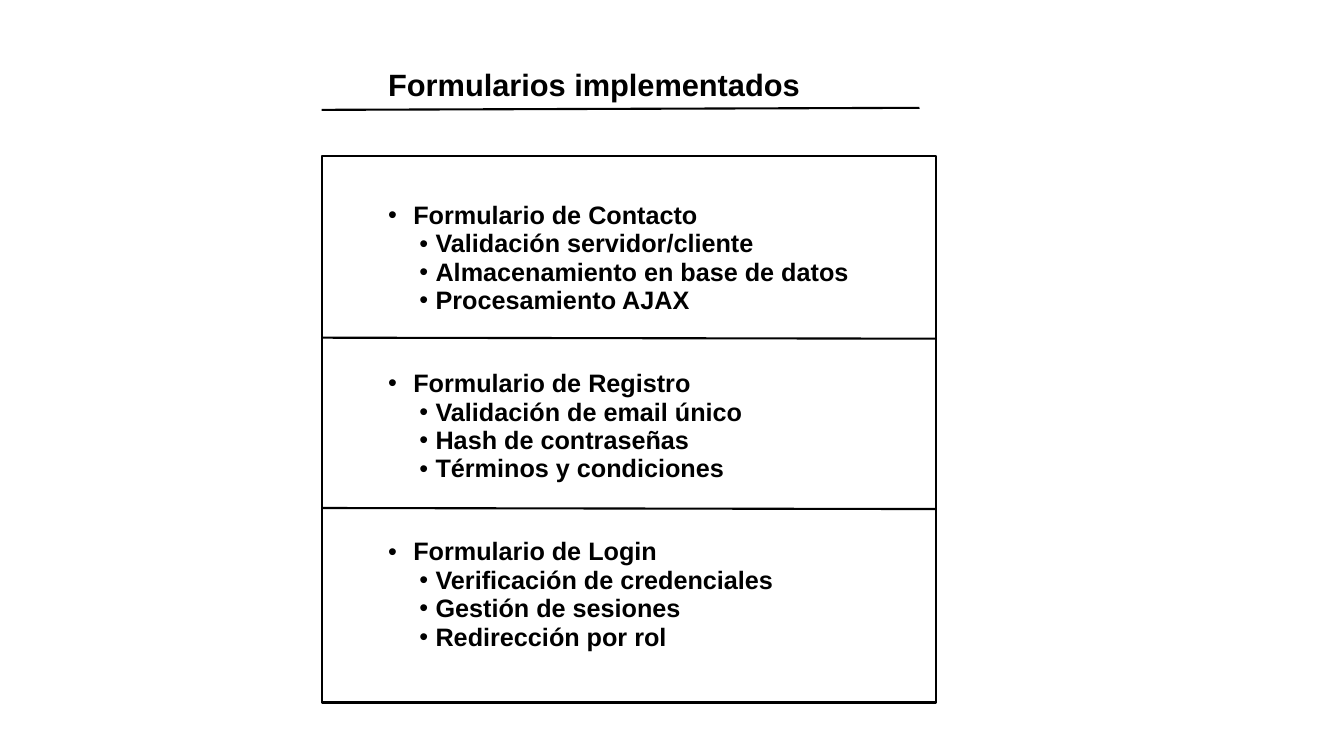
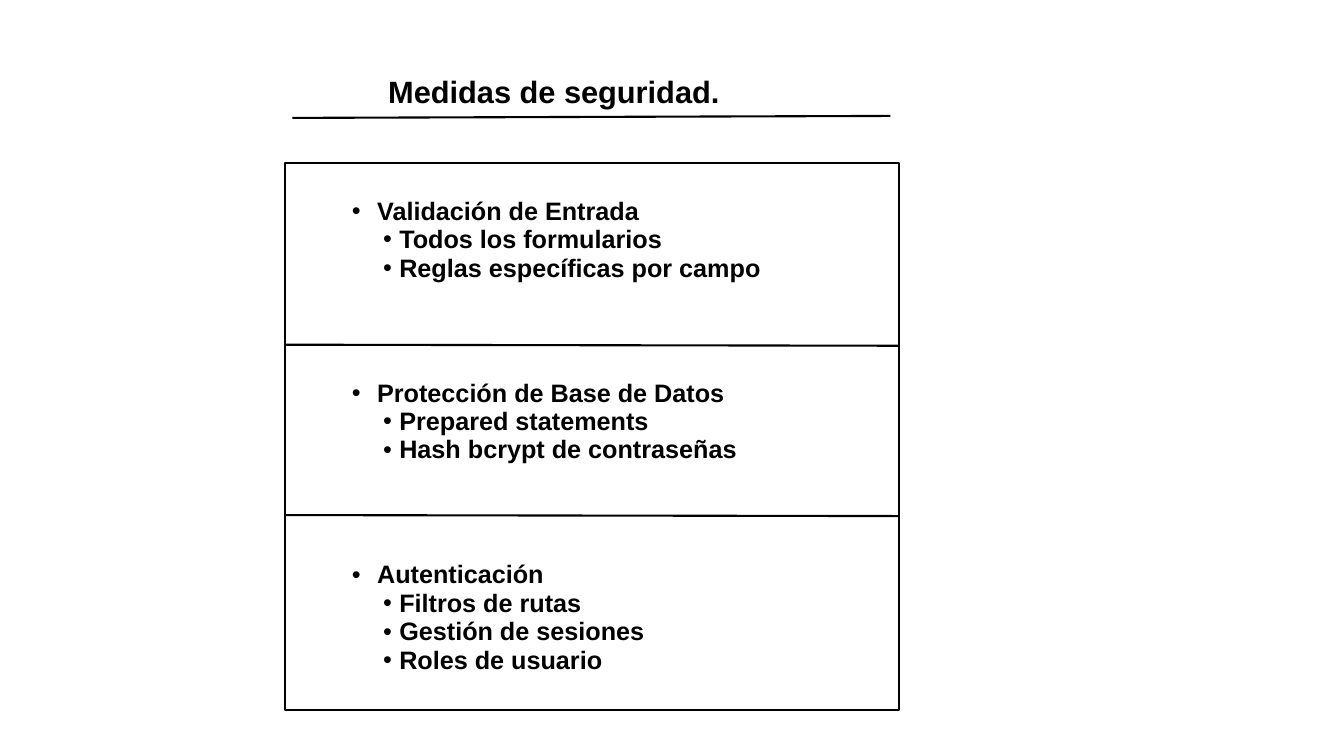
from dataclasses import dataclass

from lxml import etree
from pptx import Presentation
from pptx import util as u
from pptx.dml.color import RGBColor
from pptx.enum import shapes, text
from pptx.oxml.ns import qn

COLORS = {"ink": "000000", "paper": "FFFFFF"}
FONT = "Arial"
CELL = u.Inches(0.1)  # side of one grid square
SLIDE_COLS, SLIDE_ROWS = 133.3, 75

FRAME_COLS, FRAME_ROWS = 60.9, 54.2
DIVIDER_ROWS = (18, 34.9)
LINE_TILT = 0.1
UNDERLINE_COLS = 59.3
TITLE_COL, TITLE_RISE = 37.5, 9.2
TITLE_COLS, TITLE_ROWS = 53.1, 4.6
BODY_INDENT, BODY_COLS, BODY_ROWS = 5.6, 51.7, 44.5


@dataclass(frozen=True)
class Group:
    heading: str
    points: tuple[str, ...]


@dataclass(frozen=True)
class Topic:
    """One slide; positions are in grid columns and rows."""
    title: str
    frame_col: float
    frame_row: float
    underline_col: float
    underline_row: float
    body_row: float
    group_gap: float  # points of space above a heading
    groups: tuple[Group, ...]


TOPICS = (
    Topic("Formularios implementados", 31.9, 15.5, 31.9, 10.9, 19.5, 39, (
        Group("Formulario de Contacto", (
            "Validación servidor/cliente",
            "Almacenamiento en base de datos",
            "Procesamiento AJAX")),
        Group("Formulario de Registro", (
            "Validación de email único",
            "Hash de contraseñas",
            "Términos y condiciones")),
        Group("Formulario de Login", (
            "Verificación de credenciales",
            "Gestión de sesiones",
            "Redirección por rol")),
    )),
    Topic("Medidas de seguridad.", 28.3, 16.2, 29, 11.7, 19.1, 69, (
        Group("Validación de Entrada", (
            "Todos los formularios",
            "Reglas específicas por campo")),
        Group("Protección de Base de Datos", (
            "Prepared statements",
            "Hash bcrypt de contraseñas")),
        Group("Autenticación", (
            "Filtros de rutas",
            "Gestión de sesiones",
            "Roles de usuario")),
    )),
)


def cells(count: float) -> int:
    return round(count * CELL)


def ink() -> RGBColor:
    return RGBColor.from_string(COLORS["ink"])


def place(shape, col: float, row: float, cols: float, rows: float) -> None:
    shape.left, shape.top = cells(col), cells(row)
    shape.width, shape.height = cells(cols), cells(rows)


def style_font(paragraph, size: float) -> None:
    for run in paragraph.runs:
        font = run.font
        font.name, font.size, font.bold = FONT, u.Pt(size), True
        font.color.rgb = ink()


def style_line(line) -> None:
    line.color.rgb = ink()
    line.width = u.Pt(1.5)


def add_rule(slide, col: float, row: float, cols: float, drop: float) -> None:
    """Draw a line across cols that falls by drop rows."""
    rule = slide.shapes.add_connector(
        shapes.MSO_CONNECTOR.STRAIGHT, cells(col), cells(row),
        cells(col + cols), cells(row + drop))
    style_line(rule.line)
    etree.SubElement(rule._element.spPr, qn("a:effectLst"))


def add_bullet(paragraph, margin: float, hang: float) -> None:
    """Set a bullet with its margin and hanging indent in inches."""
    props = paragraph._p.get_or_add_pPr()
    props.set("marL", str(u.Inches(margin)))
    props.set("indent", str(-u.Inches(hang)))
    etree.SubElement(props, qn("a:buFont")).set("typeface", FONT)
    etree.SubElement(props, qn("a:buChar")).set("char", "•")


def fill_title(slide, topic: Topic) -> None:
    title = slide.shapes.title
    place(title, TITLE_COL, topic.frame_row - TITLE_RISE, TITLE_COLS, TITLE_ROWS)
    frame = title.text_frame
    frame.text = topic.title
    frame.auto_size = text.MSO_AUTO_SIZE.NONE
    frame.vertical_anchor = text.MSO_ANCHOR.MIDDLE
    heading = frame.paragraphs[0]
    heading.alignment = text.PP_ALIGN.LEFT
    heading.line_spacing = 0.9
    style_font(heading, 22)


def fill_groups(slide, topic: Topic) -> None:
    body = slide.placeholders[1]
    place(body, topic.frame_col + BODY_INDENT, topic.body_row, BODY_COLS, BODY_ROWS)
    frame = body.text_frame
    frame.auto_size = text.MSO_AUTO_SIZE.NONE
    entries = [(level, wording) for group in topic.groups
               for level, wording in ((0, group.heading),
                                      *((1, point) for point in group.points))]
    for index, (level, wording) in enumerate(entries):
        entry = frame.add_paragraph() if index else frame.paragraphs[0]
        entry.text = wording
        entry.level = level
        entry.line_spacing = 0.94
        entry.space_before = u.Pt(topic.group_gap if index and not level else 0)
        entry.space_after = u.Pt(0)
        add_bullet(entry, *((0.47, 0.16) if level else (0.25, 0.25)))
        style_font(entry, 18)


def add_frame(slide, topic: Topic) -> None:
    frame = slide.shapes.add_shape(shapes.MSO_SHAPE.RECTANGLE, 0, 0, CELL, CELL)
    place(frame, topic.frame_col, topic.frame_row, FRAME_COLS, FRAME_ROWS)
    frame.shadow.inherit = False
    frame.fill.background()
    style_line(frame.line)
    for row in DIVIDER_ROWS:
        add_rule(slide, topic.frame_col, topic.frame_row + row, FRAME_COLS, LINE_TILT)


def add_topic(deck, topic: Topic) -> None:
    slide = deck.slides.add_slide(deck.slide_layouts[1])
    fill_title(slide, topic)
    fill_groups(slide, topic)
    add_rule(slide, topic.underline_col, topic.underline_row,
             UNDERLINE_COLS, -2 * LINE_TILT)
    add_frame(slide, topic)


def main() -> None:
    deck = Presentation()
    deck.slide_width, deck.slide_height = cells(SLIDE_COLS), cells(SLIDE_ROWS)
    backdrop = deck.slide_master.background.fill
    backdrop.solid()
    backdrop.fore_color.rgb = RGBColor.from_string(COLORS["paper"])
    for topic in TOPICS:
        add_topic(deck, topic)
    deck.save("out.pptx")


if __name__ == "__main__":
    main()
